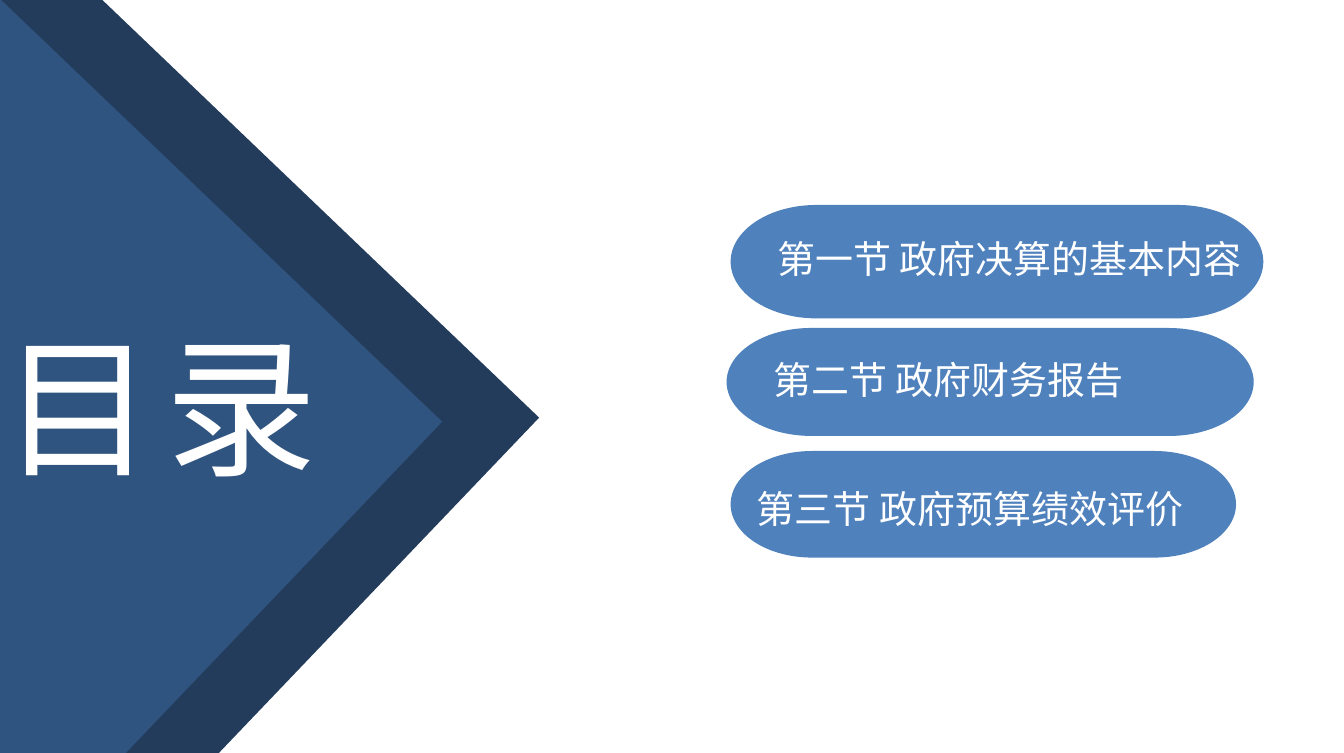
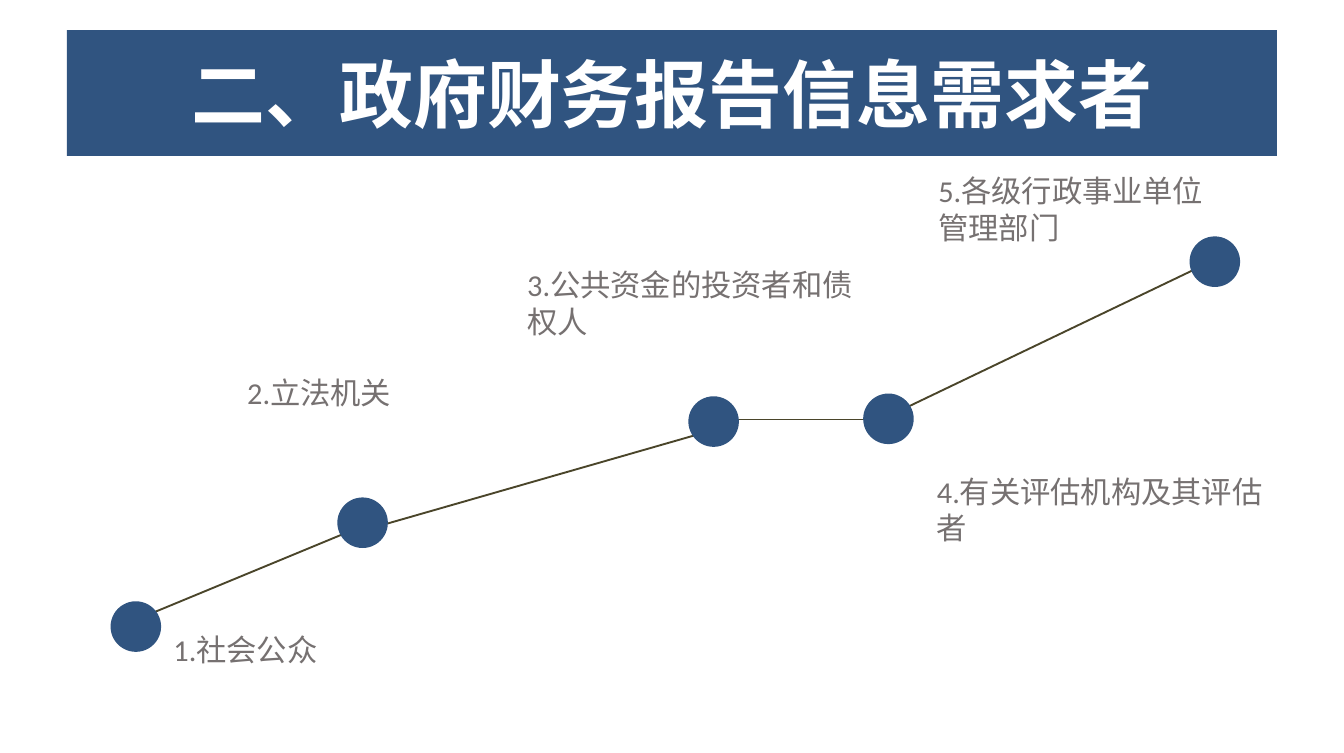
"""Build a contents slide and a rising path of report users."""
from dataclasses import dataclass

from lxml.etree import SubElement
from pptx import Presentation
from pptx.dml.color import RGBColor
from pptx.enum.shapes import MSO_CONNECTOR as Connector
from pptx.enum.shapes import MSO_SHAPE as Preset
from pptx.enum.text import MSO_ANCHOR as Anchor
from pptx.enum.text import MSO_AUTO_SIZE as AutoSize
from pptx.enum.text import PP_ALIGN as Align
from pptx.oxml.ns import qn
from pptx.util import Inches, Pt

NAVY = RGBColor(0x23, 0x3C, 0x5B)
BLUE = RGBColor(0x30, 0x54, 0x80)
SKY = RGBColor(0x4F, 0x81, 0xBD)
OLIVE = RGBColor(0x4A, 0x45, 0x2A)
GRAY = RGBColor(0x76, 0x71, 0x71)
WHITE = RGBColor(0xFF, 0xFF, 0xFF)

HAN_FONT = "Noto Sans CJK SC"
LATIN_FONT = "Calibri"
COLUMNS, ROWS = 98.4, 55.1
TITLE_ONLY = 5
NODE_SIZE = 3.7


@dataclass(frozen=True)
class Area:
    """A rectangle in grid columns and rows, each a tenth of an inch."""
    column: float
    row: float
    columns: float
    rows: float

    def lengths(self) -> tuple[int, int, int, int]:
        """Return left, top, width and height."""
        return (grid(self.column), grid(self.row),
                grid(self.columns), grid(self.rows))


@dataclass(frozen=True)
class Section:
    """A contents entry: its pill and its text."""
    text: str
    pill: Area
    label: Area


@dataclass(frozen=True)
class User:
    """A report user: its dot on the path and its label."""
    text: str
    column: float
    row: float
    label: Area


@dataclass(frozen=True)
class Segment:
    """A straight piece of the path between two grid points."""
    start: tuple[float, float]
    end: tuple[float, float]


SECTIONS = [
    Section("第一节 政府决算的基本内容", Area(53.5, 15, 39, 8.3), Area(56.2, 16.8, 36.3, 4.1)),
    Section("第二节 政府财务报告", Area(53.2, 24, 38.6, 7.9), Area(55.9, 25.7, 37.4, 4.2)),
    Section("第三节 政府预算绩效评价", Area(53.5, 33, 37, 7.8), Area(54.7, 35.1, 35.9, 7.4)),
]

USERS = [
    User("1.社会公众", 8.1, 44, Area(12, 45.8, 25.5, 3.4)),
    User("2.立法机关", 24.7, 36.4, Area(17.4, 27, 25.5, 3.4)),
    User("3.公共资金的投资者和债权人", 50.4, 29, Area(37.9, 19.1, 25.5, 6.1)),
    User("4.有关评估机构及其评估者", 63.2, 28.8, Area(67.9, 34.2, 25.5, 6.1)),
    User("5.各级行政事业单位管理部门", 87.1, 17.3, Area(68, 12.2, 21.2, 6.1)),
]

SEGMENTS = [
    Segment((10.8, 45), (25.8, 38.8)),
    Segment((28.4, 38.3), (52.1, 31.5)),
    Segment((52.1, 30.7), (65.1, 30.7)),
    Segment((66.2, 29.9), (87.5, 19.7)),
]


def grid(cells: float) -> int:
    """Convert grid cells to a slide length."""
    return Inches(cells / 10)


def write(frame, text: str, *, size: float, color: RGBColor, font: str = HAN_FONT,
          bold: bool = False, spacing: float = 0, align=Align.LEFT,
          anchor=Anchor.TOP) -> None:
    """Fill a text frame with one formatted paragraph."""
    frame.word_wrap = True
    frame.auto_size = AutoSize.NONE
    frame.vertical_anchor = anchor
    frame.margin_left = frame.margin_right = Inches(0.07)
    frame.margin_top = frame.margin_bottom = Inches(0.04)
    para = frame.paragraphs[0]
    para.alignment = align
    span = para.add_run()
    span.text = text
    span.font.size = Pt(size)
    span.font.bold = bold
    span.font.color.rgb = color
    span.font.name = font
    properties = span.font._element
    SubElement(properties, qn("a:ea")).set("typeface", HAN_FONT)
    if spacing:
        properties.set("spc", str(round(spacing * 100)))


def add_block(shapes, preset, area: Area, color: RGBColor, rotation: float = 0) -> None:
    """Draw a plain filled shape."""
    block = shapes.add_shape(preset, *area.lengths())
    block.rotation = rotation
    block.shadow.inherit = False
    block.fill.solid()
    block.fill.fore_color.rgb = color
    block.line.fill.background()


def add_label(shapes, text: str, area: Area, **style) -> None:
    """Draw a text box."""
    box = shapes.add_textbox(*area.lengths())
    write(box.text_frame, text, **style)


def add_segment(shapes, segment: Segment) -> None:
    """Draw one line of the path."""
    ends = [grid(cells) for cells in segment.start + segment.end]
    line = shapes.add_connector(Connector.STRAIGHT, *ends)
    line.line.color.rgb = OLIVE
    line.line.width = Pt(1)
    SubElement(line._element.spPr, qn("a:effectLst"))


def set_title(page, text: str, area: Area, **style):
    """Move, format and raise the title placeholder."""
    title = page.shapes.title
    title.left, title.top, title.width, title.height = area.lengths()
    write(title.text_frame, text, color=WHITE, **style)
    page.shapes.element.append(title.element)
    return title


def build_contents(deck) -> None:
    """Build the contents slide."""
    page = deck.slides.add_slide(deck.slide_layouts[TITLE_ONLY])
    for column, row, color in [(-53.7, -6.8, NAVY), (-60.8, -6.5, BLUE)]:
        add_block(page.shapes, Preset.RECTANGLE, Area(column, row, 77.2, 77.2), color, 43.7)
    set_title(page, "目录", Area(-0.5, 22.5, 31.7, 14.2), size=80, spacing=6)
    for section in SECTIONS:
        group = page.shapes.add_group_shape()
        add_block(group.shapes, Preset.FLOWCHART_TERMINATOR, section.pill, SKY)
        add_label(group.shapes, section.text, section.label, size=20, color=WHITE)


def build_users(deck) -> None:
    """Build the slide with the path of report users."""
    page = deck.slides.add_slide(deck.slide_layouts[TITLE_ONLY])
    for segment in SEGMENTS:
        add_segment(page.shapes, segment)
    for user in USERS:
        dot = Area(user.column, user.row, NODE_SIZE, NODE_SIZE)
        add_block(page.shapes, Preset.OVAL, dot, BLUE)
        add_label(page.shapes, user.text, user.label, size=16, color=GRAY, font=LATIN_FONT)
    title = set_title(page, "二、政府财务报告信息需求者", Area(4.9, 2.2, 88.6, 9.2),
                      size=39, bold=True, align=Align.CENTER, anchor=Anchor.MIDDLE)
    title.fill.solid()
    title.fill.fore_color.rgb = BLUE


def main() -> None:
    """Build and save the deck."""
    deck = Presentation()
    deck.slide_width, deck.slide_height = grid(COLUMNS), grid(ROWS)
    build_contents(deck)
    build_users(deck)
    deck.save("out.pptx")


if __name__ == "__main__":
    main()
